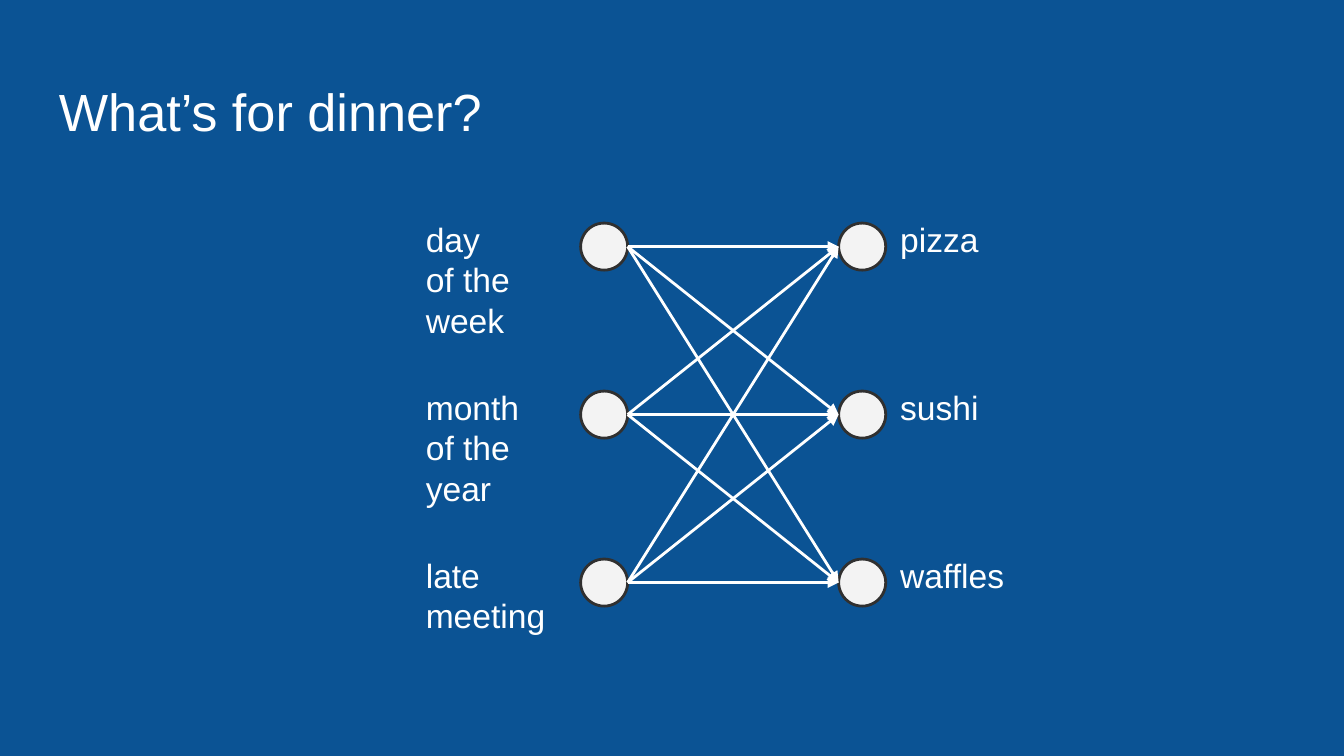
"""Build the "What's for dinner?" slide: three inputs fully linked to three meals."""
import itertools

import pptx
import pptx.dml.color
import pptx.enum.shapes
import pptx.oxml
import pptx.oxml.ns
import pptx.util
from pptx.util import Inches

BLUE = pptx.dml.color.RGBColor(0x0B, 0x53, 0x94)
WHITE = pptx.dml.color.RGBColor(0xFF, 0xFF, 0xFF)
PALE = pptx.dml.color.RGBColor(0xF3, 0xF3, 0xF3)
DARK = pptx.dml.color.RGBColor(0x30, 0x30, 0x30)

SLIDE_WIDTH = 10
ROW_GAP = 1.25
LABEL_TOP, LABEL_HEIGHT = 1.53, 0.58
NODE_TOP, NODE_SIZE = 1.66, 0.35
INPUT_LEFT, MEAL_LEFT = 4.32, 6.24
INPUTS = [
    (["day", "of the week"], 1.44),
    (["month of the year"], 1.05),
    (["late meeting"], 1.44),
]
MEALS = ["pizza", "sushi", "waffles"]

deck = pptx.Presentation()
deck.slide_width, deck.slide_height = Inches(SLIDE_WIDTH), Inches(SLIDE_WIDTH * 9 / 16)
page = deck.slides.add_slide(deck.slide_layouts[6])
page.background.fill.solid()
page.background.fill.fore_color.rgb = BLUE


def add_text(lines, left, top, width, height, size):
    box = page.shapes.add_textbox(Inches(left), Inches(top), Inches(width), Inches(height))
    frame = box.text_frame
    frame.word_wrap = True
    frame.margin_left = frame.margin_right = Inches(0.1)
    frame.margin_top = frame.margin_bottom = Inches(0.1)
    for index, line in enumerate(lines):
        para = frame.add_paragraph() if index else frame.paragraphs[0]
        span = para.add_run()
        span.text = line
        span.font.name = "Arial"
        span.font.size = pptx.util.Pt(size)
        span.font.color.rgb = WHITE


add_text(["What’s for dinner?"], 0.34, 0.49, 9.32, 0.63, 28)

for row, ((lines, width), meal) in enumerate(zip(INPUTS, MEALS)):
    label_top = LABEL_TOP + row * ROW_GAP
    add_text(lines, 3.07, label_top, width, LABEL_HEIGHT, 18)
    add_text([meal], 6.6, label_top, 1.16, LABEL_HEIGHT, 18)
    for left in (INPUT_LEFT, MEAL_LEFT):
        node = page.shapes.add_shape(
            pptx.enum.shapes.MSO_SHAPE.OVAL,
            Inches(left), Inches(NODE_TOP + row * ROW_GAP),
            Inches(NODE_SIZE), Inches(NODE_SIZE),
        )
        node.shadow.inherit = False
        node.fill.solid()
        node.fill.fore_color.rgb = PALE
        node.line.color.rgb = DARK
        node.line.width = pptx.util.Pt(1.5)

centers = [NODE_TOP + NODE_SIZE / 2 + row * ROW_GAP for row in range(len(MEALS))]
for start, end in itertools.product(centers, repeat=2):
    arrow = page.shapes.add_connector(
        pptx.enum.shapes.MSO_CONNECTOR.STRAIGHT,
        Inches(INPUT_LEFT + NODE_SIZE), Inches(start), Inches(MEAL_LEFT), Inches(end),
    )
    arrow.line.color.rgb = WHITE
    arrow.line.width = pptx.util.Pt(1.5)
    head = pptx.oxml.parse_xml(f'<a:tailEnd {pptx.oxml.ns.nsdecls("a")} type="triangle"/>')
    arrow.line._get_or_add_ln().append(head)
    effects = pptx.oxml.parse_xml(f'<a:effectLst {pptx.oxml.ns.nsdecls("a")}/>')
    arrow._element.spPr.append(effects)

deck.save("out.pptx")
